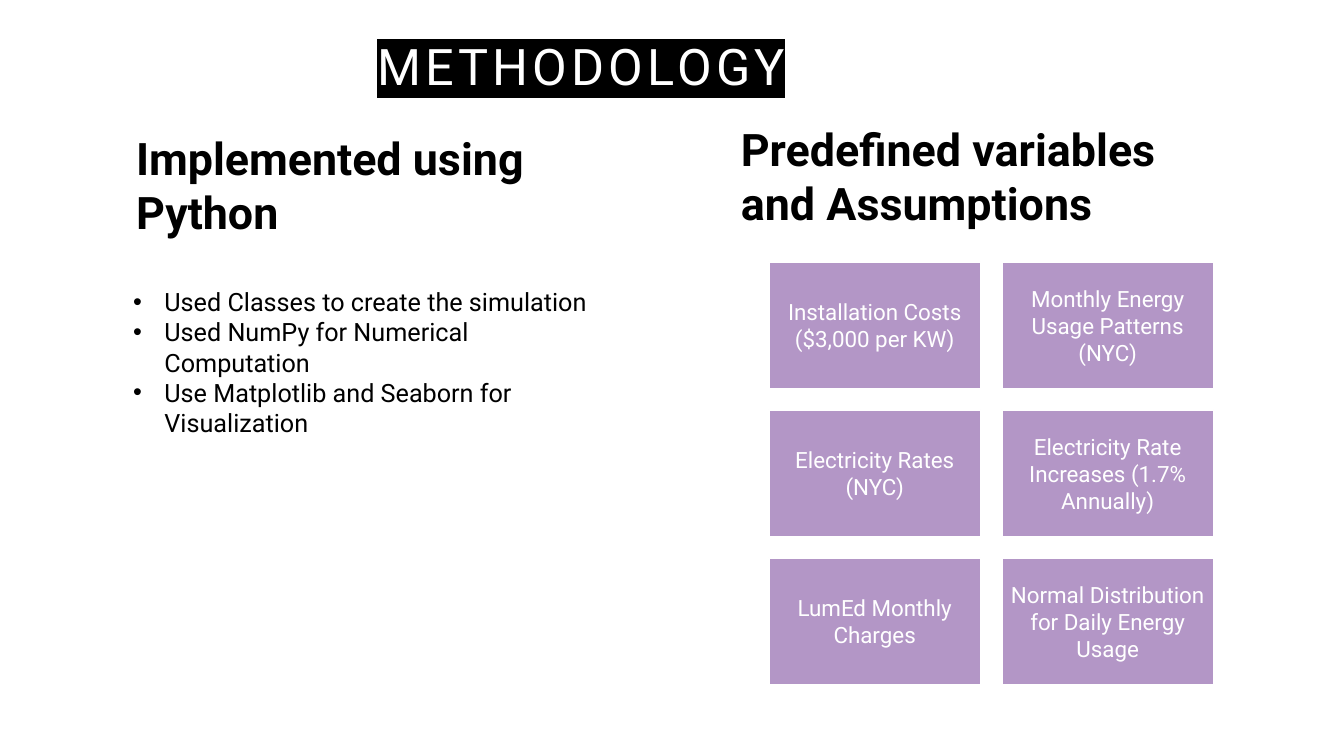
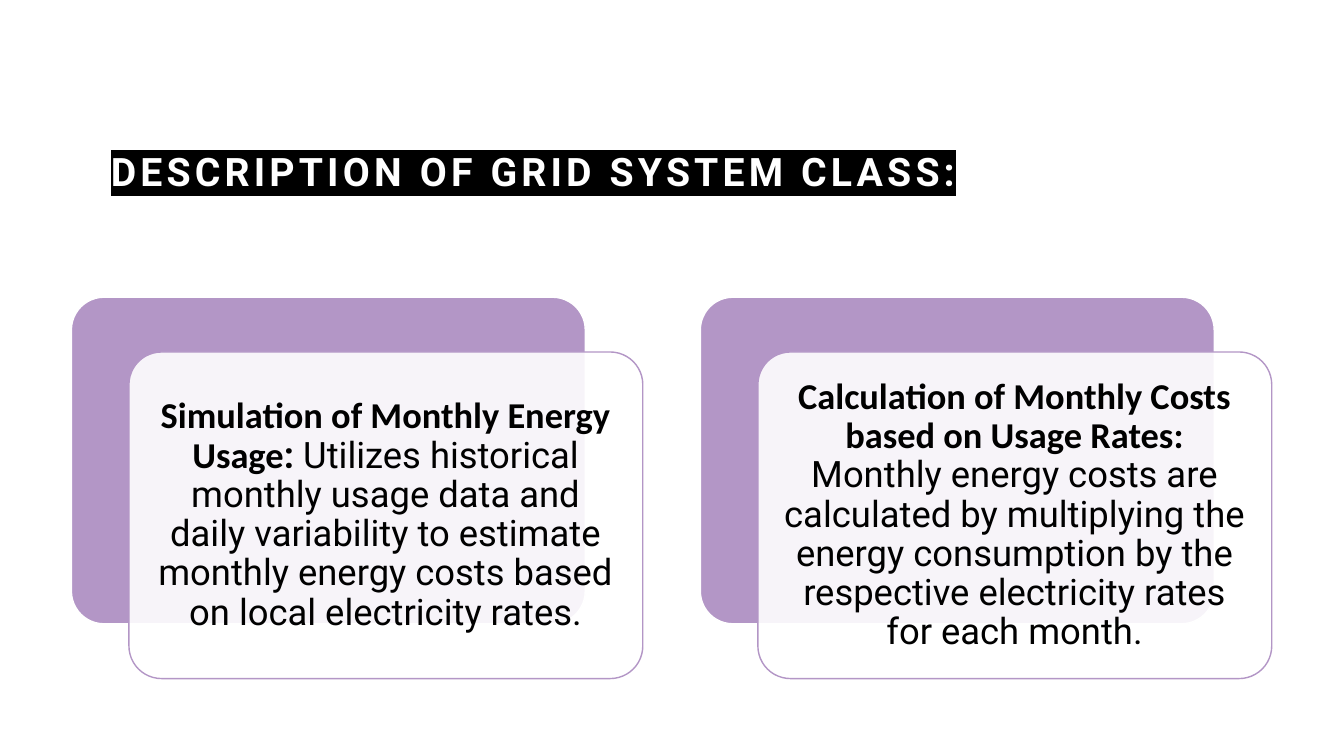
from lxml import etree
from pptx import Presentation
from pptx.dml.color import RGBColor
from pptx.enum import shapes, text
from pptx.oxml import ns
from pptx.util import Cm, Pt

BLACK = RGBColor(0, 0, 0)
WHITE = RGBColor(255, 255, 255)
LILAC = RGBColor(0xB3, 0x96, 0xC6)
FONT = "Roboto"


def style(par, size, color, bold=False):
    font = par.font
    font.name, font.size, font.bold = FONT, Pt(size), bold
    font.color.rgb = color


def block(slide, kind, box, fill, line, pad):
    shape = slide.shapes.add_shape(kind, *map(Cm, box))
    shape.shadow.inherit = False
    shape.fill.solid()
    shape.fill.fore_color.rgb = fill
    shape.line.color.rgb = line
    shape.line.width = Pt(1)
    frame = shape.text_frame
    frame.word_wrap = True
    frame.vertical_anchor = text.MSO_ANCHOR.MIDDLE
    frame.margin_left = frame.margin_right = Cm(pad)
    frame.margin_top = frame.margin_bottom = Cm(pad)
    frame.paragraphs[0].alignment = text.PP_ALIGN.CENTER
    return shape


deck = Presentation()
deck.slide_width, deck.slide_height = Cm(33.87), Cm(19.05)

# Slides and their titles: layout, wording, box, size, bold
titles = [
    (1, "METHODOLOGY", (9.25, 0.33, 13.16, 2.21), 36, False),
    (5, "DESCRIPTION OF GRID SYSTEM CLASS:", (2.54, 2.54, 23.32, 2.49), 28, True),
]
for layout, words, box, size, bold in titles:
    slide = deck.slides.add_slide(deck.slide_layouts[layout])
    title = slide.shapes.title
    title.left, title.top, title.width, title.height = map(Cm, box)
    frame = title.text_frame
    frame.auto_size = text.MSO_AUTO_SIZE.NONE
    frame.vertical_anchor = text.MSO_ANCHOR.BOTTOM
    par = frame.paragraphs[0]
    par.alignment = text.PP_ALIGN.LEFT
    par.line_spacing = 1.2
    run = par.add_run()
    run.text = words
    style(run, size, WHITE, bold)
    # Letter spacing and black highlight
    props = run.font._element
    props.set("spc", "300")
    mark = etree.Element(ns.qn("a:highlight"))
    etree.SubElement(mark, ns.qn("a:srgbClr"), val=str(BLACK))
    props.find(ns.qn("a:solidFill")).addnext(mark)

method, grid = deck.slides

# Methodology: column headings
heads = [
    ("Implemented using Python", (3.18, 3.18, 10.44, 3)),
    ("Predefined variables and Assumptions", (18.42, 2.95, 11.56, 3)),
]
for words, box in heads:
    frame = method.shapes.add_textbox(*map(Cm, box)).text_frame
    frame.word_wrap = True
    frame.text = words
    style(frame.paragraphs[0], 32, BLACK, True)

# Methodology: bullet list
body = method.placeholders[1]
body.left, body.top, body.width, body.height = map(Cm, (3.1, 7.09, 12.27, 4.11))
frame = body.text_frame
frame.auto_size = text.MSO_AUTO_SIZE.NONE
frame.text = "\n".join([
    "Used Classes to create the simulation",
    "Used NumPy for Numerical Computation",
    "Use Matplotlib and Seaborn for Visualization",
])
for par in frame.paragraphs:
    style(par, 18, BLACK)
    par.space_before = Pt(0)
    props = par._p.get_or_add_pPr()
    props.set("marL", str(Cm(0.79)))
    props.set("indent", str(-Cm(0.79)))

# Methodology: tiles in two columns
tiles = [
    "Installation Costs ($3,000 per KW)",
    "Monthly Energy Usage Patterns (NYC)",
    "Electricity Rates (NYC)",
    "Electricity Rate Increases (1.7% Annually)",
    "LumEd Monthly Charges",
    "Normal Distribution for Daily Energy Usage",
]
for i, words in enumerate(tiles):
    row, col = divmod(i, 2)
    box = (19.38 + col * 5.87, 6.6 + row * 3.73, 5.33, 3.2)
    tile = block(method, shapes.MSO_SHAPE.RECTANGLE, box, LILAC, WHITE, 0.18)
    par = tile.text_frame.paragraphs[0]
    par.text = words
    style(par, 16, WHITE)

# Grid class: cards, each over a lilac back; runs are words, font, bold
cards = [
    [("Simulation of Monthly Energy Usage", "Calibri", True),
     (":", FONT, True),
     (" Utilizes historical monthly usage data and daily variability to "
      "estimate monthly energy costs based on local electricity rates.",
      FONT, False)],
    [("Calculation of Monthly Costs based on Usage Rates: ", "Calibri", True),
     ("Monthly energy costs are calculated by multiplying the energy "
      "consumption by the respective electricity rates for each month.",
      FONT, False)],
]
ROUND = shapes.MSO_SHAPE.ROUNDED_RECTANGLE
for i, runs in enumerate(cards):
    left, top, size = 1.8 + i * 15.85, 7.49, (12.95, 8.23)
    back = block(grid, ROUND, (left, top, *size), LILAC, WHITE, 0.28)
    card = block(grid, ROUND, (left + 1.45, top + 1.38, *size), WHITE, LILAC, 0.28)
    back.adjustments[0] = card.adjustments[0] = 0.1
    tint = card._element.spPr.find(ns.qn("a:solidFill"))[0]
    etree.SubElement(tint, ns.qn("a:alpha"), val="90000")
    par = card.text_frame.paragraphs[0]
    par.line_spacing = 0.9
    for words, face, bold in runs:
        run = par.add_run()
        run.text = words
        style(run, 26, BLACK, bold)
        run.font.name = face

deck.save("out.pptx")
